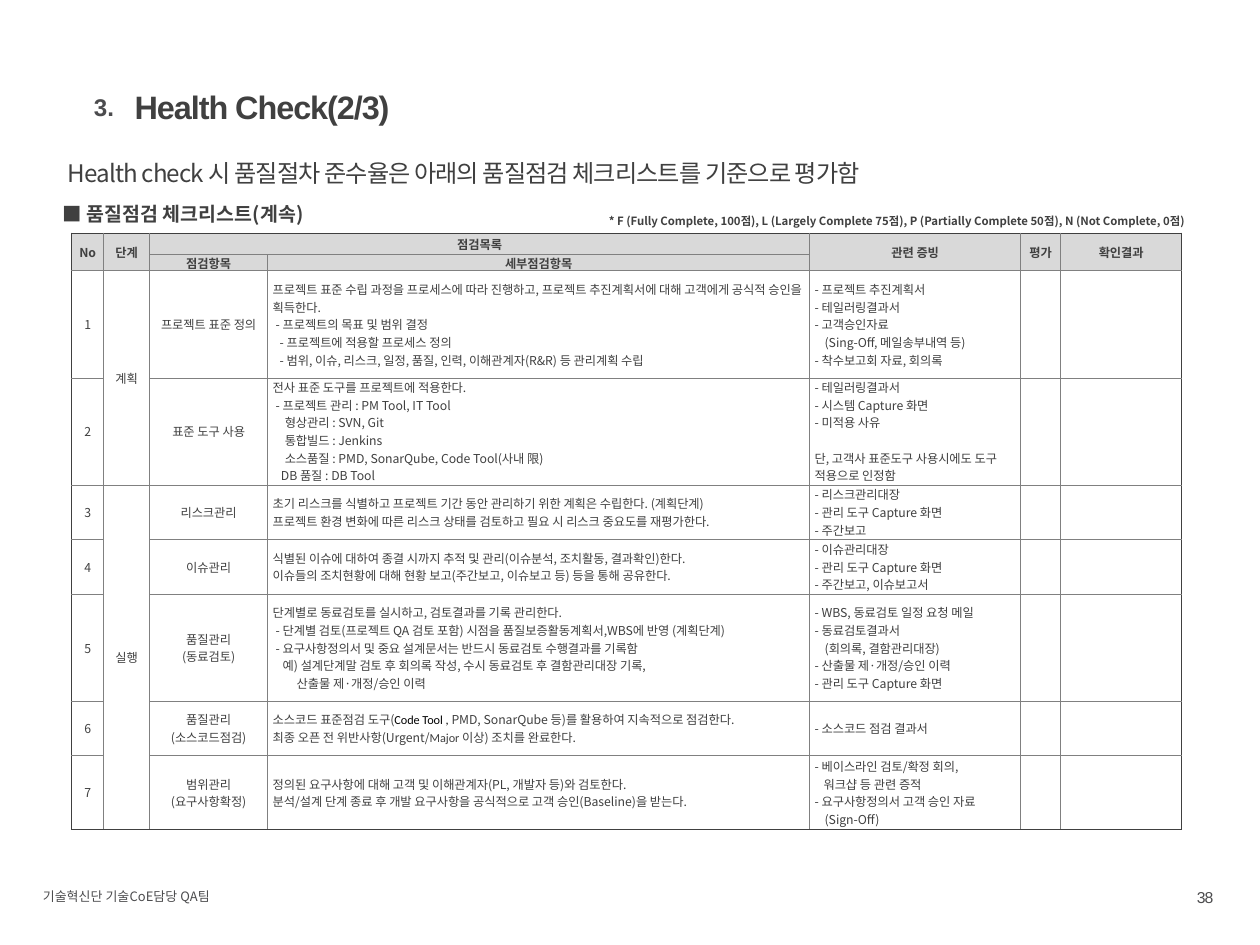
import dataclasses

import lxml.etree
import pptx
import pptx.dml.color
import pptx.enum.text
import pptx.oxml.ns
import pptx.util

Pt = pptx.util.Pt
ALIGN = pptx.enum.text.PP_ALIGN
ANCHOR = pptx.enum.text.MSO_ANCHOR
qn = pptx.oxml.ns.qn


@dataclasses.dataclass(frozen=True)
class Theme:
    ink: str = "404040"
    footer: str = "4C4C4E"
    product: str = "000000"
    header_fill: str = "D9D9D9"
    grid: str = "808080"
    korean: str = "Noto Sans CJK KR"
    latin: str = "Arial"
    inline: str = "Calibri"
    title_size: float = 18.5
    lead_size: float = 13.8
    section_size: float = 11.1
    page_size: float = 9
    footer_size: float = 7.4
    table_size: float = 7
    legend_size: float = 6.5
    grid_width: float = 0.5
    frame_width: float = 0.75


THEME = Theme()


@dataclasses.dataclass(frozen=True)
class Style:
    size: float = THEME.table_size
    face: str = THEME.korean
    color: str = THEME.ink
    bold: bool = False
    tracking: float = 0


@dataclasses.dataclass(frozen=True)
class Line:
    text: str = ""
    indent: float = 0
    before: float = 0
    runs: tuple = ()


BODY = Style()
HEADING = Style(bold=True)
PRODUCT = Style(face=THEME.inline, color=THEME.product)
INLINE = Style(face=THEME.inline)

COLUMN_WIDTHS = [18.3, 26.2, 67.5, 309.7, 120.6, 22.9, 69.2]
ROW_HEIGHTS = [12.4, 9.2, 61.2, 61.2, 31.2, 31.2, 61.2, 31.2, 42]
HEADERS = {
    (0, 0): "No", (0, 1): "단계", (0, 2): "점검목록", (0, 4): "관련 증빙",
    (0, 5): "평가", (0, 6): "확인결과", (1, 2): "점검항목", (1, 3): "세부점검항목",
}
STAGES = {2: "계획", 4: "실행"}
MERGES = [(0, column, 1, column) for column in (0, 1, 4, 5, 6)]
MERGES += [(0, 2, 0, 3), (2, 1, 3, 1), (4, 1, 8, 1)]

CHECKS = [
    (["프로젝트 표준 정의"],
     ["프로젝트 표준 수립 과정을 프로세스에 따라 진행하고, 프로젝트 추진계획서에 대해 고객에게 공식적 승인을 획득한다.",
      Line("- 프로젝트의 목표 및 범위 결정", 1.7),
      Line("- 프로젝트에 적용할 프로세스 정의", 4),
      Line("- 범위, 이슈, 리스크, 일정, 품질, 인력, 이해관계자(R&R) 등 관리계획 수립", 4)],
     ["- 프로젝트 추진계획서", "- 테일러링결과서", "- 고객승인자료",
      Line("(Sing-Off, 메일송부내역 등)", 5.7), "- 착수보고회 자료, 회의록"]),
    (["표준 도구 사용"],
     ["전사 표준 도구를 프로젝트에 적용한다.",
      Line("- 프로젝트 관리 : PM Tool, IT Tool", 1.7),
      Line("형상관리 : SVN, Git", 6.9),
      Line("통합빌드 : Jenkins", 6.9),
      Line("소스품질 : PMD, SonarQube, Code Tool(사내 限)", 6.9),
      Line("DB 품질 : DB Tool", 4.7)],
     ["- 테일러링결과서", "- 시스템 Capture 화면", "- 미적용 사유",
      Line("단, 고객사 표준도구 사용시에도 도구 적용으로 인정함", before=10.1)]),
    (["리스크관리"],
     ["초기 리스크를 식별하고 프로젝트 기간 동안 관리하기 위한 계획은 수립한다. (계획단계)",
      "프로젝트 환경 변화에 따른 리스크 상태를 검토하고 필요 시 리스크 중요도를 재평가한다."],
     ["- 리스크관리대장", "- 관리 도구 Capture 화면", "- 주간보고"]),
    (["이슈관리"],
     ["식별된 이슈에 대하여 종결 시까지 추적 및 관리(이슈분석, 조치활동, 결과확인)한다.",
      "이슈들의 조치현황에 대해 현황 보고(주간보고, 이슈보고 등) 등을 통해 공유한다."],
     ["- 이슈관리대장", "- 관리 도구 Capture 화면", "- 주간보고, 이슈보고서"]),
    (["품질관리", "(동료검토)"],
     ["단계별로 동료검토를 실시하고, 검토결과를 기록 관리한다.",
      Line("- 단계별 검토(프로젝트 QA 검토 포함) 시점을 품질보증활동계획서,WBS에 반영 (계획단계)", 1.7),
      Line("- 요구사항정의서 및 중요 설계문서는 반드시 동료검토 수행결과를 기록함", 1.7),
      Line("예) 설계단계말 검토 후 회의록 작성, 수시 동료검토 후 결함관리대장 기록,", 5.7),
      Line("산출물 제·개정/승인 이력", 13.7)],
     ["- WBS, 동료검토 일정 요청 메일", "- 동료검토결과서",
      Line("(회의록, 결함관리대장)", 5.7),
      "- 산출물 제·개정/승인 이력", "- 관리 도구 Capture 화면"]),
    (["품질관리", "(소스코드점검)"],
     [Line(runs=(("소스코드 표준점검 도구(", BODY), ("Code Tool , ", PRODUCT),
                 ("PMD, SonarQube 등)를 활용하여 지속적으로 점검한다.", BODY))),
      Line(runs=(("최종 오픈 전 위반사항(Urgent/", BODY), ("Major ", INLINE),
                 ("이상) 조치를 완료한다.", BODY)))],
     ["- 소스코드 점검 결과서"]),
    (["범위관리", "(요구사항확정)"],
     ["정의된 요구사항에 대해 고객 및 이해관계자(PL, 개발자 등)와 검토한다.",
      "분석/설계 단계 종료 후 개발 요구사항을 공식적으로 고객 승인(Baseline)을 받는다."],
     ["- 베이스라인 검토/확정 회의,", Line("워크샵 등 관련 증적", 5.1),
      "- 요구사항정의서 고객 승인 자료", Line("(Sign-Off)", 5.7)]),
]


def apply_format(target, values):
    for attribute, value in values.items():
        setattr(target, attribute, value)


def add_run(paragraph, text, style):
    run = paragraph.add_run()
    run.text = text
    apply_format(run.font, {"size": Pt(style.size), "bold": style.bold, "name": style.face})
    run.font.color.rgb = pptx.dml.color.RGBColor.from_string(style.color)
    properties = run.font._element
    lxml.etree.SubElement(properties, qn("a:ea")).set("typeface", style.face)
    if style.tracking:
        properties.set("spc", str(round(style.tracking * 100)))


def write_lines(frame, lines, style, align=ALIGN.LEFT, spacing=1.0):
    for index, entry in enumerate(lines):
        line = entry if isinstance(entry, Line) else Line(entry)
        paragraph = frame.add_paragraph() if index else frame.paragraphs[0]
        apply_format(paragraph, {"alignment": align, "line_spacing": spacing})
        if line.before:
            paragraph.space_before = Pt(line.before)
        if line.indent:
            paragraph._p.get_or_add_pPr().set("marL", str(Pt(line.indent)))
        for text, run_style in line.runs or ((line.text, style),):
            add_run(paragraph, text, run_style)


def add_label(slide, box, text, style, align=ALIGN.LEFT, spacing=1.0, **frame_format):
    frame = slide.shapes.add_textbox(*map(Pt, box)).text_frame
    apply_format(frame, {"word_wrap": True, **frame_format})
    write_lines(frame, [text], style, align, spacing)


def draw_borders(cell, row, column):
    last_row = row + cell.span_height == len(ROW_HEIGHTS)
    last_column = column + cell.span_width == len(COLUMN_WIDTHS)
    outer_edges = {"lnL": column == 0, "lnR": last_column, "lnT": row == 0, "lnB": last_row}
    properties = cell._tc.get_or_add_tcPr()
    for index, (edge, is_outer) in enumerate(outer_edges.items()):
        width, color = ((THEME.frame_width, THEME.ink) if is_outer
                        else (THEME.grid_width, THEME.grid))
        border = lxml.etree.Element(qn(f"a:{edge}"), w=str(Pt(width)))
        fill = lxml.etree.SubElement(border, qn("a:solidFill"))
        lxml.etree.SubElement(fill, qn("a:srgbClr")).set("val", color)
        properties.insert(index, border)


def format_cell(cell, row, column):
    side = Pt(2.9 if row > 1 and column in (3, 4) else 0)
    apply_format(cell, {"margin_left": side, "margin_right": side, "margin_top": 0,
                        "margin_bottom": 0, "vertical_anchor": ANCHOR.MIDDLE})
    if row < 2:
        cell.fill.solid()
        cell.fill.fore_color.rgb = pptx.dml.color.RGBColor.from_string(THEME.header_fill)
    else:
        cell.fill.background()
    draw_borders(cell, row, column)


def add_checklist(slide):
    box = (41, 133.2, sum(COLUMN_WIDTHS), sum(ROW_HEIGHTS))
    table = slide.shapes.add_table(len(ROW_HEIGHTS), len(COLUMN_WIDTHS), *map(Pt, box)).table
    apply_format(table, {"first_row": False, "horz_banding": False})
    table._tbl.tblPr.find(qn("a:tableStyleId")).text = "{2D5ABB26-0587-4C30-8999-92F81FD0307C}"
    for column, width in zip(table.columns, COLUMN_WIDTHS):
        column.width = Pt(width)
    for row, height in zip(table.rows, ROW_HEIGHTS):
        row.height = Pt(height)
    for top, left, bottom, right in MERGES:
        table.cell(top, left).merge(table.cell(bottom, right))
    for row in range(len(ROW_HEIGHTS)):
        for column in range(len(COLUMN_WIDTHS)):
            format_cell(table.cell(row, column), row, column)
    for position, heading in HEADERS.items():
        write_lines(table.cell(*position).text_frame, [heading], HEADING, ALIGN.CENTER)
    for row, stage in STAGES.items():
        write_lines(table.cell(row, 1).text_frame, [stage], BODY, ALIGN.CENTER)
    for number, (item, details, evidence) in enumerate(CHECKS, 1):
        contents = {0: [str(number)], 2: item, 3: details, 4: evidence}
        for column, lines in contents.items():
            align = ALIGN.CENTER if column < 3 else ALIGN.LEFT
            write_lines(table.cell(number + 1, column).text_frame, lines, BODY, align)


def main():
    deck = pptx.Presentation()
    apply_format(deck, {"slide_width": Pt(720), "slide_height": Pt(540)})
    slide = deck.slides.add_slide(deck.slide_layouts[6])
    flush = {"margin_left": 0, "margin_right": 0, "margin_top": 0, "margin_bottom": 0,
             "vertical_anchor": ANCHOR.MIDDLE}
    add_label(slide, (676.8, 504, 23.8, 18), "38",
              Style(THEME.page_size, THEME.latin, THEME.footer, tracking=-0.6),
              ALIGN.CENTER, word_wrap=False)
    add_label(slide, (24.5, 504, 238.3, 16.6), "기술혁신단 기술CoE담당 QA팀",
              Style(THEME.footer_size, color=THEME.footer), margin_left=0)
    add_label(slide, (77, 43.9, 594.7, 36.7), "Health Check(2/3)",
              Style(THEME.title_size, THEME.latin, bold=True, tracking=-0.6),
              spacing=0.9, **flush)
    add_label(slide, (46.8, 43.9, 25.2, 36.7), "3.",
              Style(THEME.lead_size, THEME.latin, THEME.footer, True),
              ALIGN.CENTER, 0.9, **flush)
    add_label(slide, (31.7, 83.5, 670.3, 44.6),
              "Health check 시 품질절차 준수율은 아래의 품질점검 체크리스트를 기준으로 평가함",
              Style(THEME.lead_size, tracking=-0.5), spacing=1.2)
    add_label(slide, (28.8, 105.1, 614.2, 26.6), "■ 품질점검 체크리스트(계속)",
              Style(THEME.section_size, bold=True), ALIGN.JUSTIFY, 1.5)
    add_label(slide, (244.1, 118.8, 439.9, 15.1),
              "* F (Fully Complete, 100점), L (Largely Complete 75점), "
              "P (Partially Complete 50점), N (Not Complete, 0점)",
              Style(THEME.legend_size, bold=True), ALIGN.RIGHT)
    add_checklist(slide)
    deck.save("out.pptx")


if __name__ == "__main__":
    main()
